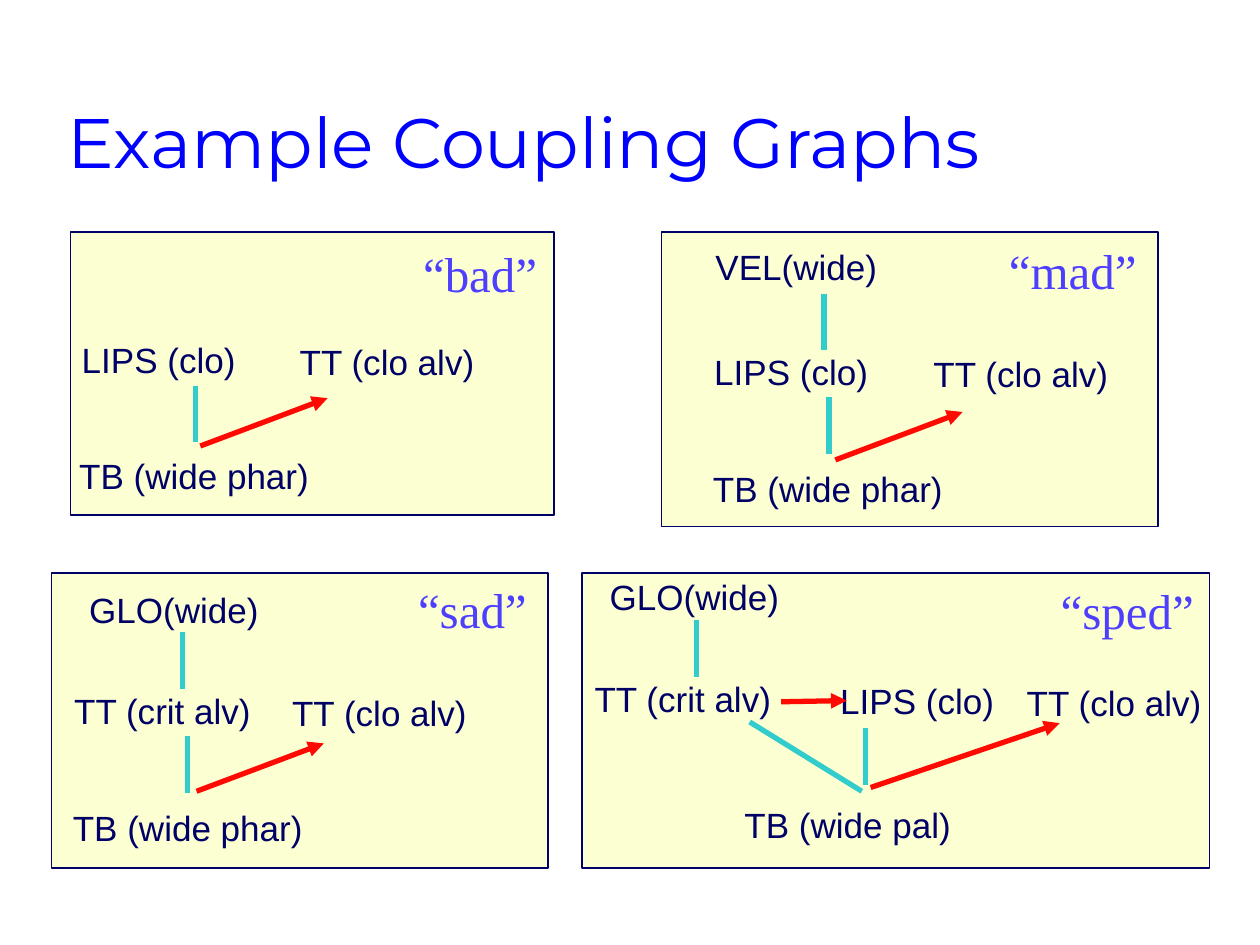
"""Build a slide with four gestural coupling graphs."""
from lxml import etree
from pptx import Presentation
from pptx.dml.color import RGBColor
from pptx.enum import shapes, text
from pptx.oxml import ns
from pptx.util import Inches, Pt

NAVY = RGBColor(0x00, 0x00, 0x66)
CREAM = RGBColor(0xFB, 0xFF, 0xD1)
TEAL = RGBColor(0x33, 0xCC, 0xCC)
RED = RGBColor(0xFF, 0x09, 0x03)
VIOLET = RGBColor(0x4E, 0x3F, 0xFF)
BLUE = RGBColor(0x00, 0x00, 0xFF)

DROP = (0, 0.45)
RISE = (1.01, -0.38)
GESTURE_SIZE = (2.41, 0.44)
WORD_SIZE = (1.3, 0.57)

TITLE = "Example Coupling Graphs"
GRAPHS = [
    {
        "word": ("“bad”", 3.26, 1.88),
        "panel": (0.56, 1.84, 3.84, 2.25),
        "gestures": [("TT (clo alv)", 2.28, 2.65), ("LIPS (clo)", 0.55, 2.64),
                     ("TB (wide phar)", 0.53, 3.56)],
        "in_phase": [(1.55, 3.06, DROP)],
        "anti_phase": [(1.59, 3.54, RISE)],
    },
    {
        "word": ("“sped”", 8.32, 4.56),
        "panel": (4.62, 4.55, 4.98, 2.34),
        "gestures": [("TT (crit alv)", 4.62, 5.33), ("TB (wide pal)", 5.81, 6.33),
                     ("GLO(wide)", 4.74, 4.52), ("LIPS (clo)", 6.57, 5.34),
                     ("TT (clo alv)", 8.05, 5.36)],
        "in_phase": [(5.95, 5.73, (0.89, 0.55)), (5.53, 4.92, DROP), (6.87, 5.78, DROP)],
        "anti_phase": [(6.91, 6.25, (1.5, -0.51)), (6.2, 5.57, (0.52, -0.01))],
    },
    {
        "word": ("“mad”", 7.91, 1.86),
        "panel": (5.25, 1.84, 3.94, 2.34),
        "gestures": [("TT (clo alv)", 7.31, 2.75), ("LIPS (clo)", 5.57, 2.73),
                     ("TB (wide phar)", 5.56, 3.66), ("VEL(wide)", 5.58, 1.9)],
        "in_phase": [(6.58, 3.15, DROP), (6.54, 2.33, DROP)],
        "anti_phase": [(6.63, 3.65, RISE)],
    },
    {
        "word": ("“sad”", 3.22, 4.55),
        "panel": (0.41, 4.55, 3.94, 2.34),
        "gestures": [("TT (clo alv)", 2.22, 5.44), ("TT (crit alv)", 0.49, 5.42),
                     ("TB (wide phar)", 0.48, 6.35), ("GLO(wide)", 0.61, 4.62)],
        "in_phase": [(1.49, 5.84, DROP), (1.45, 5.02, DROP)],
        "anti_phase": [(1.56, 6.28, RISE)],
    },
]


def add_label(parent, wording, place, font_name, size, color):
    label = parent.add_textbox(*map(Inches, place))
    frame = label.text_frame
    frame.word_wrap = True
    frame.text = wording
    font = frame.paragraphs[0].runs[0].font
    font.name, font.size = font_name, Pt(size)
    font.color.rgb = color
    return frame


def add_panel(parent, place):
    panel = parent.add_shape(shapes.MSO_SHAPE.RECTANGLE, *map(Inches, place))
    panel.shadow.inherit = False
    panel.fill.solid()
    panel.fill.fore_color.rgb = CREAM
    panel.line.color.rgb = NAVY
    panel.line.width = Pt(1)


def add_coupling(parent, x, y, reach, color, arrow=False):
    ends = (x, y, x + reach[0], y + reach[1])
    coupling = parent.add_connector(shapes.MSO_CONNECTOR.STRAIGHT, *map(Inches, ends))
    coupling.line.color.rgb = color
    coupling.line.width = Pt(3)
    if arrow:
        etree.SubElement(coupling.line._get_or_add_ln(), ns.qn("a:tailEnd"), type="triangle")
    etree.SubElement(coupling._element.spPr, ns.qn("a:effectLst"))


def add_graph(slide, graph):
    parent = slide.shapes.add_group_shape().shapes
    add_panel(parent, graph["panel"])
    for wording, x, y in graph["gestures"]:
        width = min(GESTURE_SIZE[0], 10 - x)
        add_label(parent, wording, (x, y, width, GESTURE_SIZE[1]), "Arial", 20, NAVY)
    for x, y, reach in graph["in_phase"]:
        add_coupling(parent, x, y, reach, TEAL)
    for x, y, reach in graph["anti_phase"]:
        add_coupling(parent, x, y, reach, RED, arrow=True)
    wording, x, y = graph["word"]
    add_label(parent, wording, (x, y, *WORD_SIZE), "Times New Roman", 28, VIOLET)


def main():
    deck = Presentation()
    deck.slide_width, deck.slide_height = Inches(10), Inches(7.5)
    slide = deck.slides.add_slide(deck.slide_layouts[6])
    title = add_label(slide.shapes, TITLE, (0.44, 0.25, 8.5, 1.25), "Montserrat", 40, BLUE)
    title.vertical_anchor = text.MSO_ANCHOR.BOTTOM
    for graph in GRAPHS:
        add_graph(slide, graph)
    deck.save("out.pptx")


if __name__ == "__main__":
    main()
